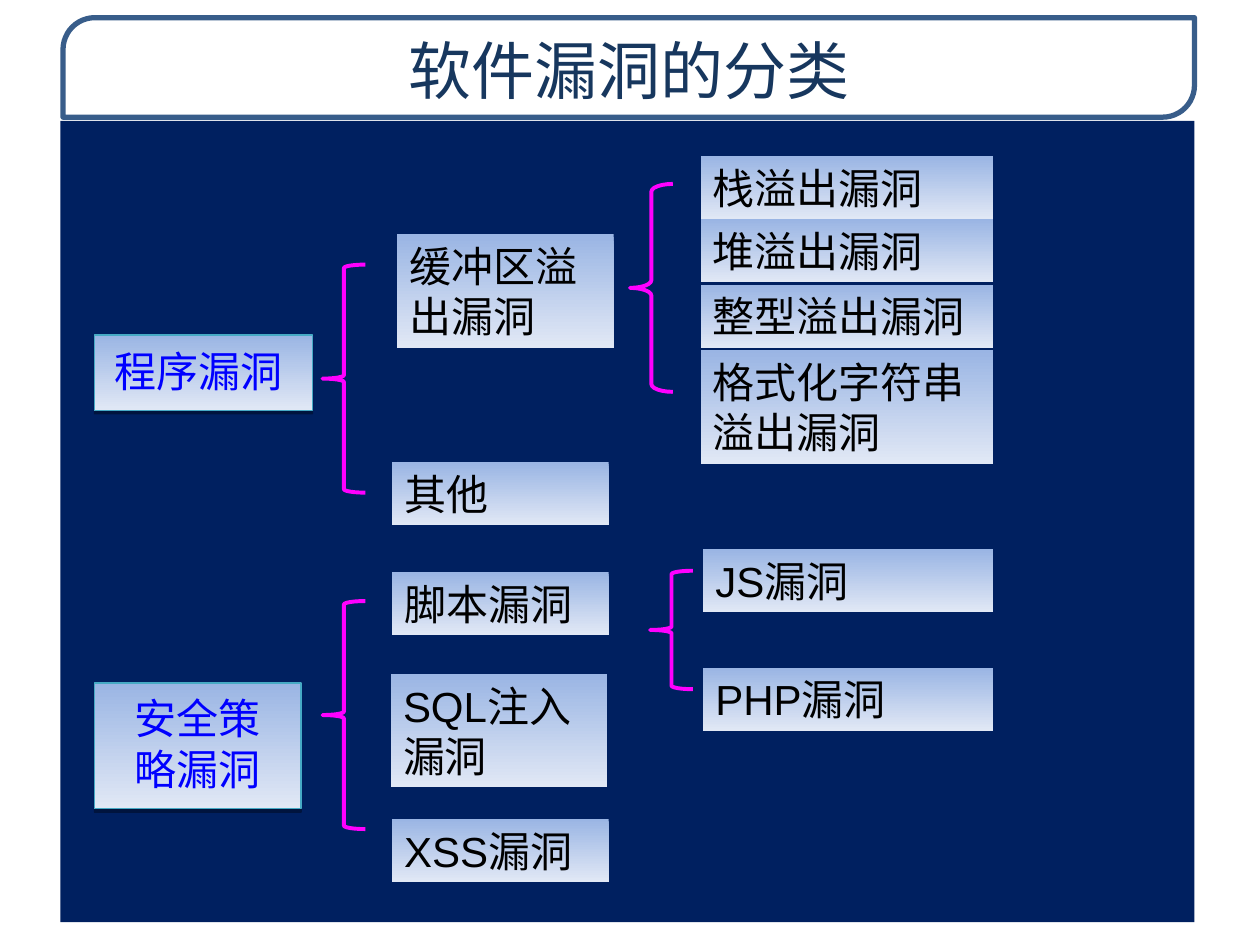
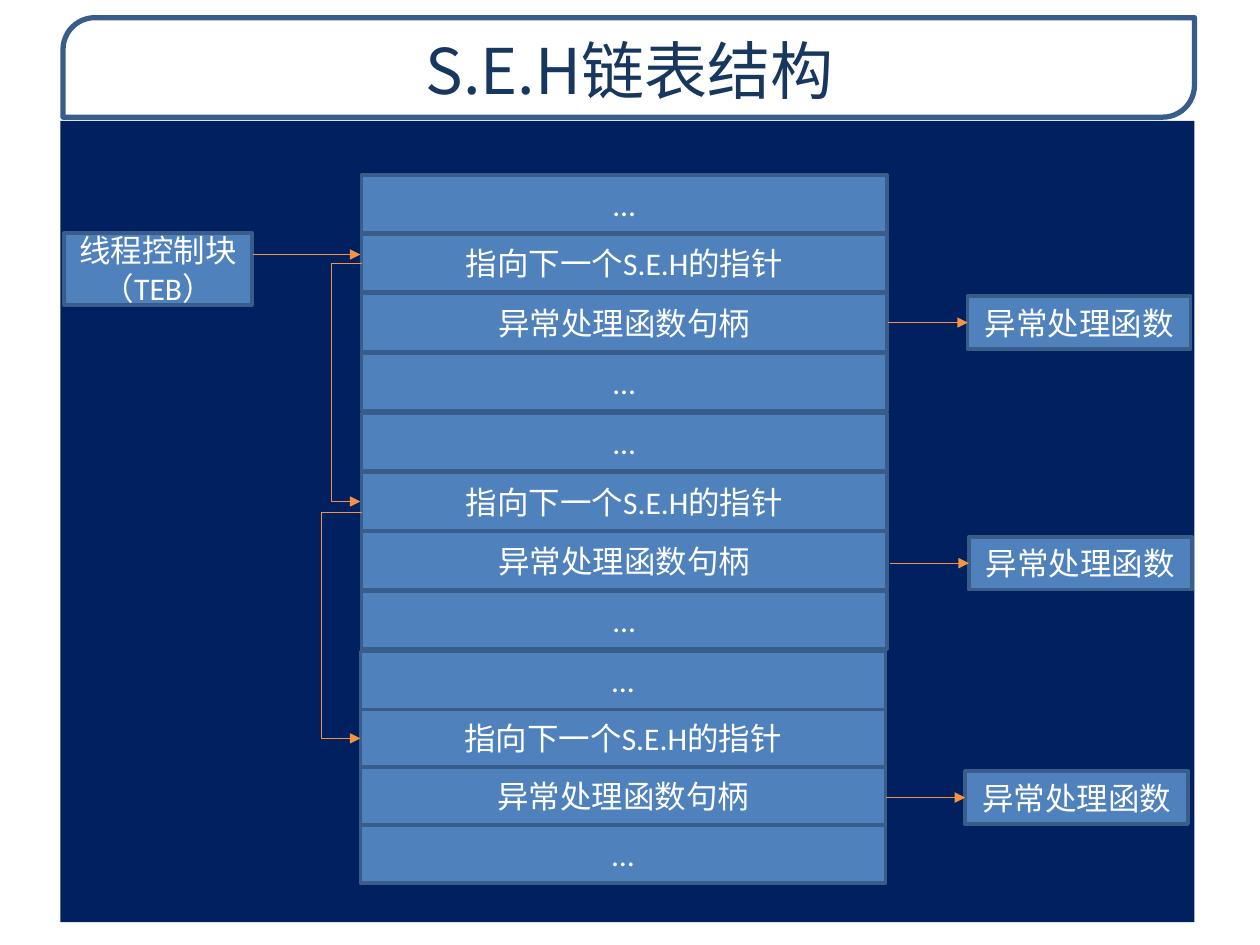
from dataclasses import dataclass
from typing import Optional

from lxml.etree import SubElement as Sub
from pptx import Presentation
from pptx.dml.color import RGBColor
from pptx.enum.shapes import MSO_CONNECTOR as Link, MSO_SHAPE as Form
from pptx.enum.text import MSO_ANCHOR as Anchor, MSO_AUTO_SIZE as Fit, PP_ALIGN as Align
from pptx.oxml.ns import qn
from pptx.util import Inches, Pt

WHITE = RGBColor(0xFF, 0xFF, 0xFF)
BLACK = RGBColor(0x00, 0x00, 0x00)
NAVY = RGBColor(0x00, 0x20, 0x60)
INK = RGBColor(0x17, 0x37, 0x5E)
EDGE = RGBColor(0x38, 0x5D, 0x8A)
STEEL = RGBColor(0x4F, 0x81, 0xBD)
SKY = RGBColor(0x9A, 0xB5, 0xE4)
MIST = RGBColor(0xE1, 0xE8, 0xF5)
TEAL = RGBColor(0x46, 0xAA, 0xC5)
BLUE = RGBColor(0x00, 0x00, 0xFF)
PINK = RGBColor(0xFF, 0x00, 0xFF)
ORANGE = RGBColor(0xF6, 0x92, 0x40)

CJK = "Noto Sans CJK SC"
PAD = (0.1, 0.05, 0.1, 0.05)
ROOT_PAD = (0.16, 0.08, 0.16, 0.12)


@dataclass
class Box:
    left: float
    top: float
    width: float
    height: float
    text: str = ""


@dataclass
class Brace:
    left: float
    top: float
    height: float
    curl: float = 0.08


@dataclass
class Arrow:
    start: tuple[float, float]
    end: tuple[float, float]
    bend: Optional[float] = None


ROOTS = [
    (Box(0.75, 2.66, 1.73, 0.6, "程序漏洞"), Align.LEFT),
    (Box(0.75, 5.42, 1.64, 1, "安全策略漏洞"), Align.CENTER),
]
LEAVES = [
    Box(3.15, 1.86, 1.72, 0.9, "缓冲区溢出漏洞"),
    Box(3.11, 3.67, 1.72, 0.5, "其他"),
    Box(3.11, 4.54, 1.72, 0.5, "脚本漏洞"),
    Box(3.1, 5.35, 1.72, 0.9, "SQL注入漏洞"),
    Box(3.11, 6.5, 1.72, 0.5, "XSS漏洞"),
    Box(5.56, 1.24, 2.32, 0.5, "栈溢出漏洞"),
    Box(5.56, 1.74, 2.32, 0.5, "堆溢出漏洞"),
    Box(5.56, 2.26, 2.32, 0.5, "整型溢出漏洞"),
    Box(5.56, 2.78, 2.32, 0.9, "格式化字符串溢出漏洞"),
    Box(5.58, 4.36, 2.3, 0.5, "JS漏洞"),
    Box(5.58, 5.3, 2.3, 0.5, "PHP漏洞"),
]
BRACES = [
    Brace(2.56, 2.1, 1.81),
    Brace(2.56, 4.77, 1.81),
    Brace(5, 1.46, 1.65, curl=0.18),
    Brace(5.16, 4.53, 0.94),
]

FRAME = ["…", "指向下一个S.E.H的指针", "异常处理函数句柄", "…"]
STACKS = [(2.87, 1.39, 0.47), (2.87, 3.28, 0.47), (2.86, 5.17, 0.46)]
CALLS = [(7.68, 2.35), (7.69, 4.26), (7.66, 6.12)]
TEB = Box(0.51, 1.85, 1.49, 0.57, "线程控制块\n（TEB）")
JUMPS = [
    Arrow((2.87, 2.09), (2.86, 3.98), bend=2.63),
    Arrow((2.87, 4.07), (2.86, 5.86), bend=2.55),
    Arrow((2.01, 2.02), (2.86, 2.02)),
]


def write(shape, text: str, *, size: float, font: str, color: RGBColor,
          align=Align.LEFT, anchor=Anchor.TOP, pad=PAD, asian: str = "") -> None:
    frame = shape.text_frame
    frame.word_wrap = True
    frame.auto_size = Fit.NONE
    frame.vertical_anchor = anchor
    (frame.margin_left, frame.margin_top,
     frame.margin_right, frame.margin_bottom) = map(Inches, pad)
    frame.text = text
    for para in frame.paragraphs:
        para.alignment = align
        for run in para.runs:
            run.font.size = Pt(size)
            run.font.name = font
            run.font.color.rgb = color
            if asian:
                Sub(run.font._element, qn("a:ea"), typeface=asian)


def draw(slide, box: Box, form=Form.RECTANGLE, fill: Optional[RGBColor] = None,
         line: Optional[RGBColor] = None, weight: float = 1):
    shape = slide.shapes.add_shape(
        form, *map(Inches, (box.left, box.top, box.width, box.height)))
    shape.shadow.inherit = False
    if fill is None:
        shape.fill.background()
    else:
        shape.fill.solid()
        shape.fill.fore_color.rgb = fill
    if line is None:
        shape.line.fill.background()
    else:
        shape.line.color.rgb = line
        shape.line.width = Pt(weight)
    return shape


def fade(shape) -> None:
    shape.fill.gradient()
    shape.fill.gradient_angle = 270
    for stop, color in zip(shape.fill.gradient_stops, (SKY, MIST)):
        stop.color.rgb = color


def shade(shape) -> None:
    effects = shape.element.spPr.find(qn("a:effectLst"))
    outer = Sub(effects, qn("a:outerShdw"), blurRad="0", dist=str(Pt(1.8)),
                dir="5400000", rotWithShape="0")
    black = Sub(outer, qn("a:srgbClr"), val=str(BLACK))
    Sub(black, qn("a:alpha"), val="35000")


def block(slide, box: Box) -> None:
    shape = draw(slide, box, fill=STEEL, line=EDGE, weight=2)
    write(shape, box.text, size=18, font="Calibri", color=WHITE,
          align=Align.CENTER, anchor=Anchor.MIDDLE)


def point(slide, arrow: Arrow) -> None:
    kind = Link.STRAIGHT if arrow.bend is None else Link.ELBOW
    link = slide.shapes.add_connector(
        kind, *map(Inches, (*arrow.start, *arrow.end)))
    link.line.color.rgb = ORANGE
    link.line.width = Pt(0.75)
    props = link.element.spPr
    if arrow.bend is not None:
        ratio = (arrow.bend - arrow.start[0]) / (arrow.end[0] - arrow.start[0])
        guides = props.find(qn("a:prstGeom")).find(qn("a:avLst"))
        Sub(guides, qn("a:gd"), name="adj1", fmla=f"val {round(ratio * 100000)}")
    Sub(props.find(qn("a:ln")), qn("a:tailEnd"), type="triangle")
    Sub(props, qn("a:effectLst"))


def start(deck, text: str):
    slide = deck.slides.add_slide(deck.slide_layouts[5])
    band = draw(slide, Box(0.5, 0.14, 8.98, 0.79), Form.ROUND_2_DIAG_RECTANGLE,
                fill=WHITE, line=EDGE, weight=3)
    band.adjustments[0] = 0.32
    title = slide.shapes.title
    title.left, title.top, title.width, title.height = map(
        Inches, (0.51, 0.14, 8.97, 0.76))
    write(title, text, size=36, font=CJK, color=INK, align=Align.CENTER,
          anchor=Anchor.BOTTOM, asian=CJK)
    band.element.addnext(title.element)
    draw(slide, Box(0.48, 0.96, 9, 6.36), fill=NAVY)
    return slide


def tree(deck) -> None:
    slide = start(deck, "软件漏洞的分类")
    for box, align in ROOTS:
        shape = draw(slide, box, line=TEAL, weight=0.75)
        fade(shape)
        shade(shape)
        write(shape, box.text, size=24, font="Calibri", color=BLUE,
              align=align, pad=ROOT_PAD)
    for box in LEAVES:
        shape = draw(slide, box)
        fade(shape)
        write(shape, box.text, size=24, font="Arial", color=BLACK)
    for brace in BRACES:
        shape = draw(slide, Box(brace.left, brace.top, 0.34, brace.height),
                     Form.LEFT_BRACE, line=PINK, weight=2.25)
        shape.adjustments[0] = brace.curl


def chain(deck) -> None:
    slide = start(deck, "S.E.H链表结构")
    for left, top, pitch in STACKS:
        for row, text in enumerate(FRAME):
            block(slide, Box(left, top + row * pitch, 4.17, 0.46, text))
    for left, top in CALLS:
        block(slide, Box(left, top, 1.77, 0.42, "异常处理函数"))
        point(slide, Arrow((left - 0.63, top + 0.21), (left, top + 0.21)))
    block(slide, TEB)
    for jump in JUMPS:
        point(slide, jump)


def main() -> None:
    deck = Presentation()
    deck.slide_width, deck.slide_height = Inches(10), Inches(7.5)
    tree(deck)
    chain(deck)
    deck.save("out.pptx")


if __name__ == "__main__":
    main()
